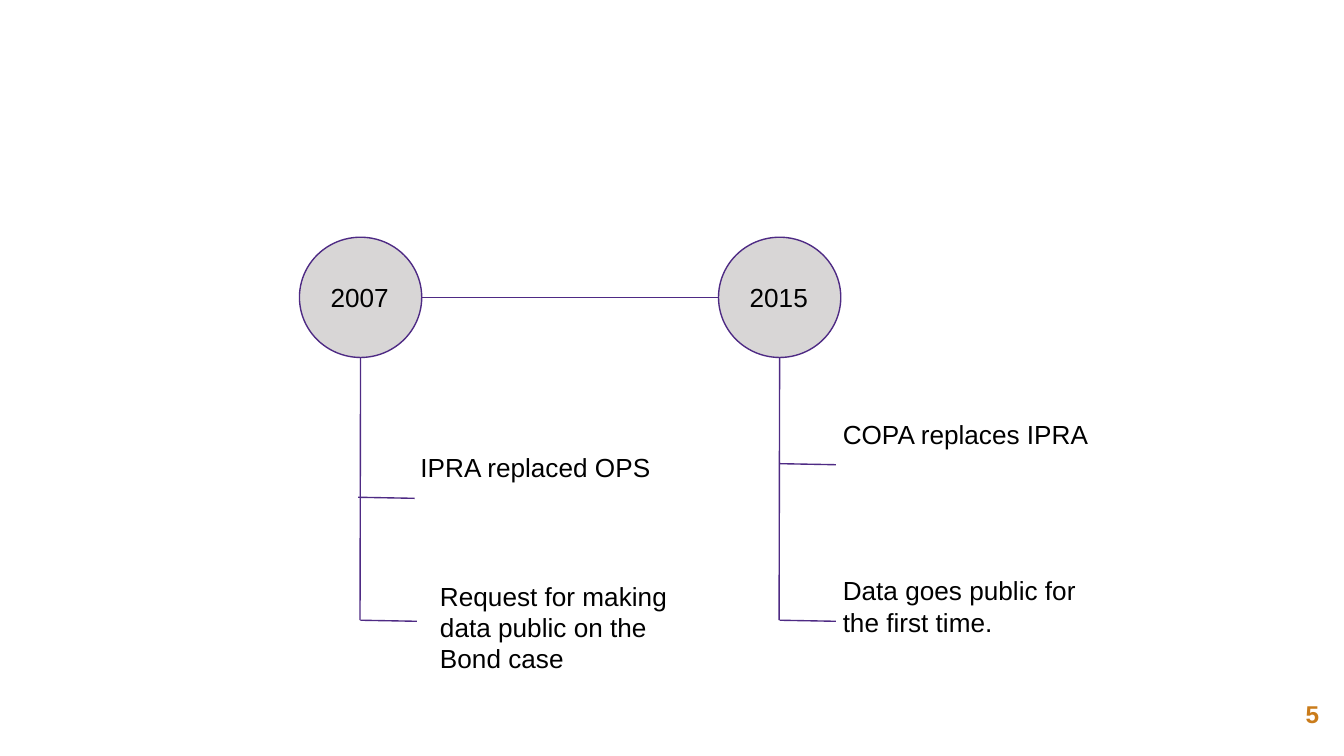
from lxml import etree
from pptx import Presentation
from pptx.dml.color import RGBColor
from pptx.enum.shapes import MSO_CONNECTOR, MSO_SHAPE
from pptx.enum.text import MSO_ANCHOR, PP_ALIGN
from pptx.oxml.ns import qn
from pptx.util import Inches, Pt

STRAIGHT, OVAL = MSO_CONNECTOR.STRAIGHT, MSO_SHAPE.OVAL
TOP, MIDDLE = MSO_ANCHOR.TOP, MSO_ANCHOR.MIDDLE
LEFT, CENTER, RIGHT = PP_ALIGN.LEFT, PP_ALIGN.CENTER, PP_ALIGN.RIGHT
COLORS = {"line": "4E2A84", "circle": "D8D6D6", "text": "000000", "number": "CA7C1B"}

prs = Presentation()
prs.slide_width = Inches(10)
prs.slide_height = prs.slide_width * 9 // 16
s = prs.slides.add_slide(prs.slide_layouts[6])

# Grid of 100 columns by 56.25 rows
COL, ROW = prs.slide_width / 100, prs.slide_height / 56.25


def write(sp, text, size=14, color="text", align=LEFT, anchor=TOP, insets=(0.1,) * 4):
    tf = sp.text_frame
    tf.word_wrap = True
    tf.vertical_anchor = anchor
    tf.margin_left, tf.margin_top, tf.margin_right, tf.margin_bottom = map(Inches, insets)
    p = tf.paragraphs[0]
    p.text, p.alignment = text, align
    p.font.name, p.font.size = "Arial", Pt(size)
    p.font.color.rgb = RGBColor.from_string(COLORS[color])
    return p


def add_line(x1, y1, x2, y2):
    line = s.shapes.add_connector(
        STRAIGHT, int(x1 * COL), int(y1 * ROW), int(x2 * COL), int(y2 * ROW))
    line.line.color.rgb = RGBColor.from_string(COLORS["line"])
    line.line.width = Pt(0.75)
    etree.SubElement(line._element.spPr, qn("a:effectLst"))


CIRCLE_W, CIRCLE_H, CIRCLE_TOP = 9.1, 8.95, 17.65
STEM_END, STEM_LEAN = 46.15, 0.04
TICK_W, TICK_DROP = 4.2, 0.08
NOTE_W, NOTE_H = 22.1, 8.9

# Year, circle left, events as (tick left, tick row, note left, note top, text)
milestones = [
    ("2007", 22.28, [
        (26.65, 37, 30.3, 32.6, "IPRA replaced OPS"),
        (26.82, STEM_END, 31.75, 42.15, "Request for making data public on the Bond case"),
    ]),
    ("2015", 53.46, [
        (58, 34.5, 61.72, 30.1, "COPA replaces IPRA"),
        (58, STEM_END, 61.72, 41.75, "Data goes public for the first time."),
    ]),
]

for year, left, events in milestones:
    sp = s.shapes.add_shape(OVAL, int(left * COL), int(CIRCLE_TOP * ROW),
                            int(CIRCLE_W * COL), int(CIRCLE_H * ROW))
    sp.shadow.inherit = False
    sp.fill.solid()
    sp.fill.fore_color.rgb = RGBColor.from_string(COLORS["circle"])
    sp.line.color.rgb = RGBColor.from_string(COLORS["line"])
    sp.line.width = Pt(0.75)
    write(sp, year, align=LEFT, anchor=MIDDLE)

    center = left + CIRCLE_W / 2
    add_line(center, CIRCLE_TOP + CIRCLE_H, center - STEM_LEAN, STEM_END)
    for tick_x, tick_y, note_x, note_y, text in events:
        add_line(tick_x, tick_y, tick_x + TICK_W, tick_y + TICK_DROP)
        note = s.shapes.add_textbox(int(note_x * COL), int(note_y * ROW),
                                    int(NOTE_W * COL), int(NOTE_H * ROW))
        write(note, text)

first, last = milestones[0][1], milestones[-1][1]
middle = CIRCLE_TOP + CIRCLE_H / 2
add_line(first + CIRCLE_W, middle, last, middle)

number = s.shapes.add_textbox(int(92.65 * COL), int(51 * ROW), int(6 * COL), int(4.3 * ROW))
p = write(number, "5", 13, "number", RIGHT, MIDDLE, (0.03, 0.05, 0.05, 0.05))
p.font.bold = True

prs.save("out.pptx")
